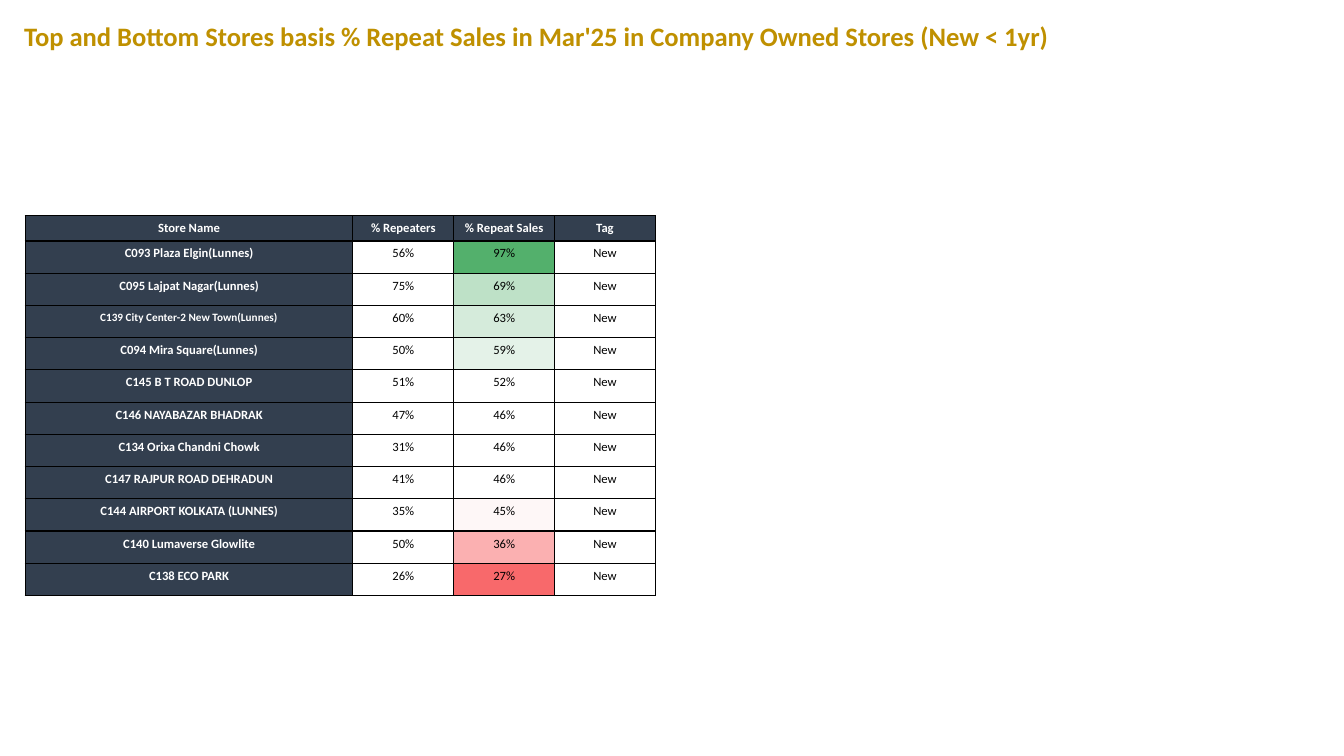
from lxml.etree import SubElement
from pptx import Presentation
from pptx.dml.color import RGBColor
from pptx.enum.text import MSO_ANCHOR, MSO_AUTO_SIZE, PP_ALIGN
from pptx.oxml.ns import qn
from pptx.util import Inches, Pt

TITLE = "Top and Bottom Stores basis % Repeat Sales in Mar'25 in Company Owned Stores (New < 1yr)"
NAVY, WHITE, BLACK, GOLD = "333F4F", "FFFFFF", "000000", "BF9000"
HEADS = ["Store Name", "% Repeaters", "% Repeat Sales", "Tag"]
WIDTHS = [3.25, 1, 1, 1]
STORES = [
    ("C093 Plaza Elgin(Lunnes)", "56%", "97%", "53B06C"),
    ("C095 Lajpat Nagar(Lunnes)", "75%", "69%", "BEE1C7"),
    ("C139 City Center-2 New Town(Lunnes)", "60%", "63%", "D5EBDB"),
    ("C094 Mira Square(Lunnes)", "50%", "59%", "E4F2E8"),
    ("C145 B T ROAD DUNLOP", "51%", "52%", WHITE),
    ("C146 NAYABAZAR BHADRAK", "47%", "46%", WHITE),
    ("C134 Orixa Chandni Chowk", "31%", "46%", WHITE),
    ("C147 RAJPUR ROAD DEHRADUN", "41%", "46%", WHITE),
    ("C144 AIRPORT KOLKATA (LUNNES)", "35%", "45%", "FEF7F7"),
    ("C140 Lumaverse Glowlite", "50%", "36%", "FBB0B1"),
    ("C138 ECO PARK", "26%", "27%", "F8696B"),
]


def color(code):
    """Turn a hex string into a colour."""
    return RGBColor.from_string(code)


def style(para, size, ink, bold, align):
    """Set the font and alignment of a paragraph."""
    para.alignment = align
    font = para.font
    font.name, font.size, font.bold = "Calibri", Pt(size), bold
    font.color.rgb = color(ink)


def add_title(slide):
    """Place and format the slide title."""
    title = slide.shapes.title
    title.left, title.top = Inches(0.14), Inches(0.15)
    title.width, title.height = Inches(13.19), Inches(0.42)
    frame = title.text_frame
    frame.text = TITLE
    frame.word_wrap = True
    frame.auto_size = MSO_AUTO_SIZE.SHAPE_TO_FIT_TEXT
    frame.vertical_anchor = MSO_ANCHOR.TOP
    style(frame.paragraphs[0], 19, GOLD, True, PP_ALIGN.LEFT)


def add_borders(cell):
    """Draw a thin black line on each side of a cell."""
    props = cell._tc.get_or_add_tcPr()
    for side in ("a:lnL", "a:lnR", "a:lnT", "a:lnB"):
        line = SubElement(props, qn(side), w=str(Pt(1)))
        fill = SubElement(line, qn("a:solidFill"))
        SubElement(fill, qn("a:srgbClr"), val=BLACK)


def fill_cell(cell, text, back, size=9):
    """Write one table cell, in bold white on navy or plain black."""
    dark = back == NAVY
    add_borders(cell)
    cell.fill.solid()
    cell.fill.fore_color.rgb = color(back)
    cell.text = text
    style(cell.text_frame.paragraphs[0], size, WHITE if dark else BLACK, dark, PP_ALIGN.CENTER)


def add_stores(slide):
    """Build the table of stores."""
    frame = slide.shapes.add_table(len(STORES) + 1, len(HEADS), Inches(0.25), Inches(2.14),
                                   Inches(6.25), Inches(3.72))
    table = frame.table
    for col, width in zip(table.columns, WIDTHS):
        col.width = Inches(width)
    for index, row in enumerate(table.rows):
        row.height = Inches(0.32 if index else 0.2)
    for index, head in enumerate(HEADS):
        fill_cell(table.cell(0, index), head, NAVY)
    for index, (name, repeat, sales, tint) in enumerate(STORES, 1):
        fill_cell(table.cell(index, 0), name, NAVY, 8 if len(name) > 30 else 9)
        fill_cell(table.cell(index, 1), repeat, WHITE)
        fill_cell(table.cell(index, 2), sales, tint)
        fill_cell(table.cell(index, 3), "New", WHITE)


def main():
    """Create and save the slide."""
    deck = Presentation()
    deck.slide_width, deck.slide_height = Inches(13.33), Inches(7.5)
    slide = deck.slides.add_slide(deck.slide_layouts[5])
    add_title(slide)
    add_stores(slide)
    deck.save("out.pptx")


if __name__ == "__main__":
    main()
